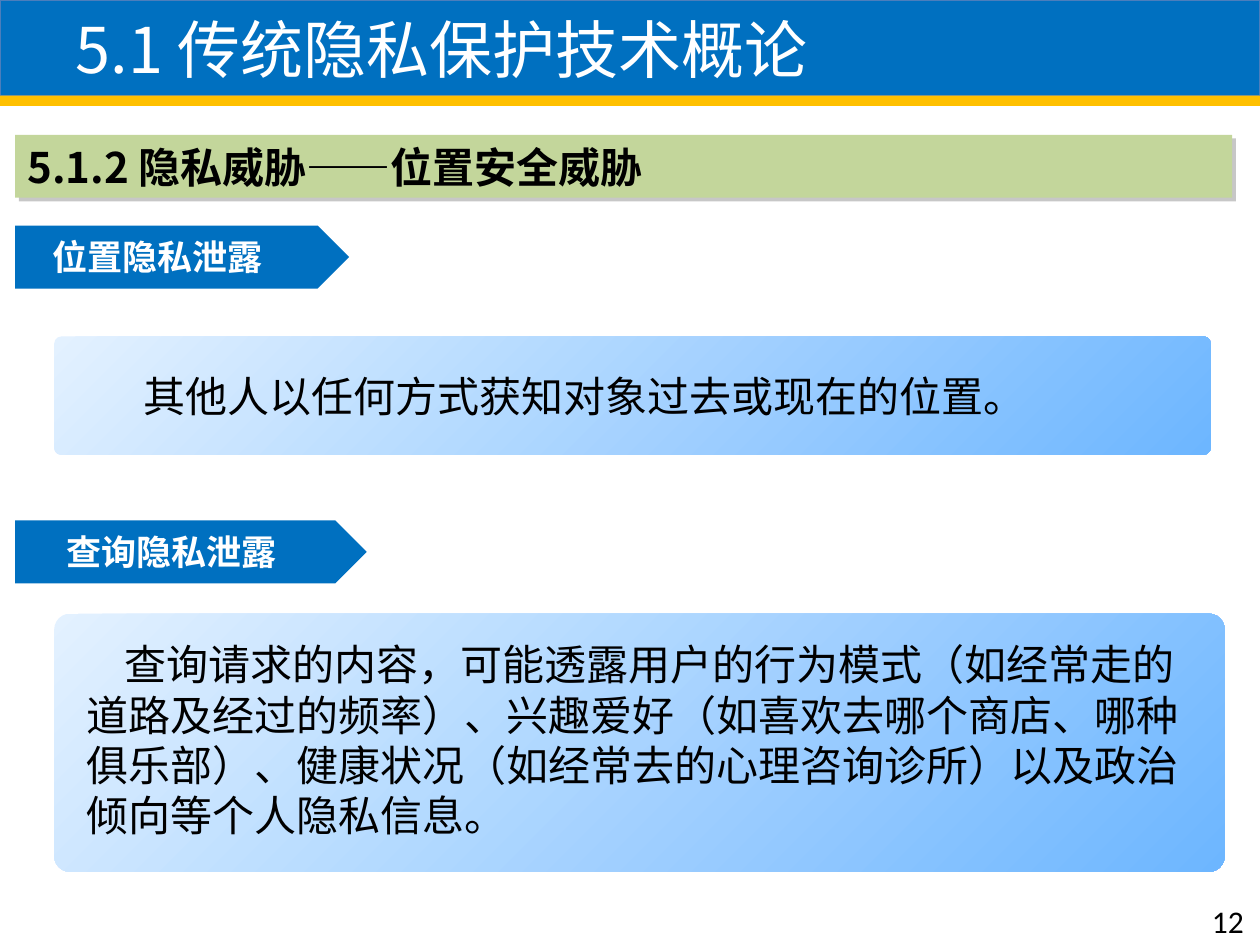
import pptx
import pptx.dml.color
import pptx.enum.shapes
import pptx.enum.text
import pptx.oxml
import pptx.oxml.ns
import pptx.util

SHAPE = pptx.enum.shapes.MSO_SHAPE
ANCHOR = pptx.enum.text.MSO_ANCHOR
ALIGN = pptx.enum.text.PP_ALIGN
CJK = "Noto Sans CJK SC"
COLORS = {
    "blue": "0070C0", "gold": "FFC000", "edge": "4B7EBC", "green": "C3D69B",
    "pale": "E3F1FF", "sky": "6DB6FF", "white": "FFFFFF", "black": "000000",
    "gray": "808080",
}
WIDTH, HEIGHT = 10, 7.5
LEFT = 0.12          # left edge of the banner and tags
PANEL_LEFT = 0.43    # left edge of the panels
TAG_HEIGHT = 0.5


def rgb(name):
    return pptx.dml.color.RGBColor.from_string(COLORS[name])


def inches(box):
    return [pptx.util.Inches(value) for value in box]


def add_shadow(shape, color, alpha, blur, distance, angle):
    namespace = pptx.oxml.ns.nsdecls("a")
    effects = pptx.oxml.parse_xml(
        f'<a:effectLst {namespace}><a:outerShdw blurRad="{pptx.util.Pt(blur)}" '
        f'dist="{pptx.util.Pt(distance)}" dir="{angle * 60000}" algn="tl" rotWithShape="0">'
        f'<a:srgbClr val="{COLORS[color]}"><a:alpha val="{alpha * 1000}"/></a:srgbClr>'
        f'</a:outerShdw></a:effectLst>')
    properties = shape.element.spPr
    for old in properties.findall(pptx.oxml.ns.qn("a:effectLst")):
        properties.remove(old)
    properties.append(effects)


def add_block(slide, kind, box, color):
    shape = slide.shapes.add_shape(kind, *inches(box))
    shape.shadow.inherit = False
    shape.line.fill.background()
    shape.fill.solid()
    shape.fill.fore_color.rgb = rgb(color)
    return shape


def write(shape, text, size, color="black", font=CJK, bold=False, indent=0,
          spacing=None, anchor=ANCHOR.MIDDLE, wrap=True):
    frame = shape.text_frame
    for name, value in {"word_wrap": wrap, "vertical_anchor": anchor,
                        "auto_size": pptx.enum.text.MSO_AUTO_SIZE.NONE}.items():
        setattr(frame, name, value)
    paragraph = frame.paragraphs[0]
    paragraph.alignment = ALIGN.LEFT
    if indent:
        paragraph._p.get_or_add_pPr().set("indent", str(pptx.util.Inches(indent)))
    if spacing:
        paragraph.line_spacing = pptx.util.Pt(spacing)
    run = paragraph.add_run()
    run.text = text
    for name, value in {"name": font, "size": pptx.util.Pt(size), "bold": bold}.items():
        setattr(run.font, name, value)
    run.font.color.rgb = rgb(color)
    # East Asian typeface follows the Latin one
    east_asian = pptx.oxml.parse_xml(
        f'<a:ea {pptx.oxml.ns.nsdecls("a")} typeface="{CJK}"/>')
    run.font._element.find(pptx.oxml.ns.qn("a:latin")).addnext(east_asian)


def add_text(slide, box, text, size, **style):
    write(slide.shapes.add_textbox(*inches(box)), text, size, **style)


def title_bar(slide, box, text):
    left, top, width, height = box
    add_block(slide, SHAPE.RECTANGLE, (left, top + height, width, 0.08), "gold")
    title = slide.shapes.title
    for name, value in zip(("left", "top", "width", "height"), inches(box)):
        setattr(title, name, value)
    title.fill.solid()
    title.fill.fore_color.rgb = rgb("blue")
    title.line.color.rgb = rgb("edge")
    title.line.width = pptx.util.Pt(0.75)
    add_shadow(title, "black", 38, 3.1, 1.6, 90)
    title.text_frame.margin_left = pptx.util.Inches(0.6)
    write(title, text, 36, "white")


def section_banner(slide, box, text):
    banner = add_block(slide, SHAPE.RECTANGLE, box, "green")
    add_shadow(banner, "gray", 43, 0, 3, 45)
    write(banner, text, 24, bold=True)


def tag(slide, box, text, inset):
    left, top, _, height = box
    add_block(slide, SHAPE.PENTAGON, box, "blue")
    add_text(slide, (left + inset, top + 0.03, 1.88, height - 0.07), text, 20,
             color="white", font="Arial", bold=True, wrap=False)


def panel(slide, box, text, text_width, text_top, text_height, **style):
    left, top, _, _ = box
    shape = add_block(slide, SHAPE.ROUNDED_RECTANGLE, box, "pale")
    shape.adjustments[0] = 0.062
    shape.fill.gradient()
    shape.fill.gradient_angle = 315
    for stop, position, color in zip(shape.fill.gradient_stops, (0, 1), ("pale", "sky")):
        stop.position = position
        stop.color.rgb = rgb(color)
    add_text(slide, (left + 0.16, top + text_top, text_width, text_height), text, 24, **style)


def main():
    presentation = pptx.Presentation()
    presentation.slide_width, presentation.slide_height = inches((WIDTH, HEIGHT))
    slide = presentation.slides.add_slide(presentation.slide_layouts[5])

    # Headings
    title_bar(slide, (0, 0, WIDTH, 0.76), "5.1 传统隐私保护技术概论")
    section_banner(slide, (LEFT, 1.07, 9.66, 0.5), "5.1.2 隐私威胁——位置安全威胁")

    # Location privacy
    tag(slide, (LEFT, 1.79, 2.65, TAG_HEIGHT), "位置隐私泄露", 0.2)
    panel(slide, (PANEL_LEFT, 2.67, 9.18, 0.94),
          "其他人以任何方式获知对象过去或现在的位置。",
          8.7, 0.22, 0.5, font="Arial", indent=0.45)

    # Query privacy
    tag(slide, (LEFT, 4.13, 2.79, TAG_HEIGHT), "查询隐私泄露", 0.31)
    panel(slide, (PANEL_LEFT, 4.87, 9.29, 2.05),
          "查询请求的内容，可能透露用户的行为模式（如经常走的道路及经过的频率）、"
          "兴趣爱好（如喜欢去哪个商店、哪种俱乐部）、健康状况（如经常去的心理咨询诊所）"
          "以及政治倾向等个人隐私信息。",
          8.92, 0.15, 1.72, indent=0.3, spacing=28.8, anchor=ANCHOR.TOP)

    # Page number
    add_text(slide, (9.52, 7.11, 0.47, 0.4), "12", 18, font="Calibri", anchor=ANCHOR.TOP)

    presentation.save("out.pptx")


if __name__ == "__main__":
    main()
